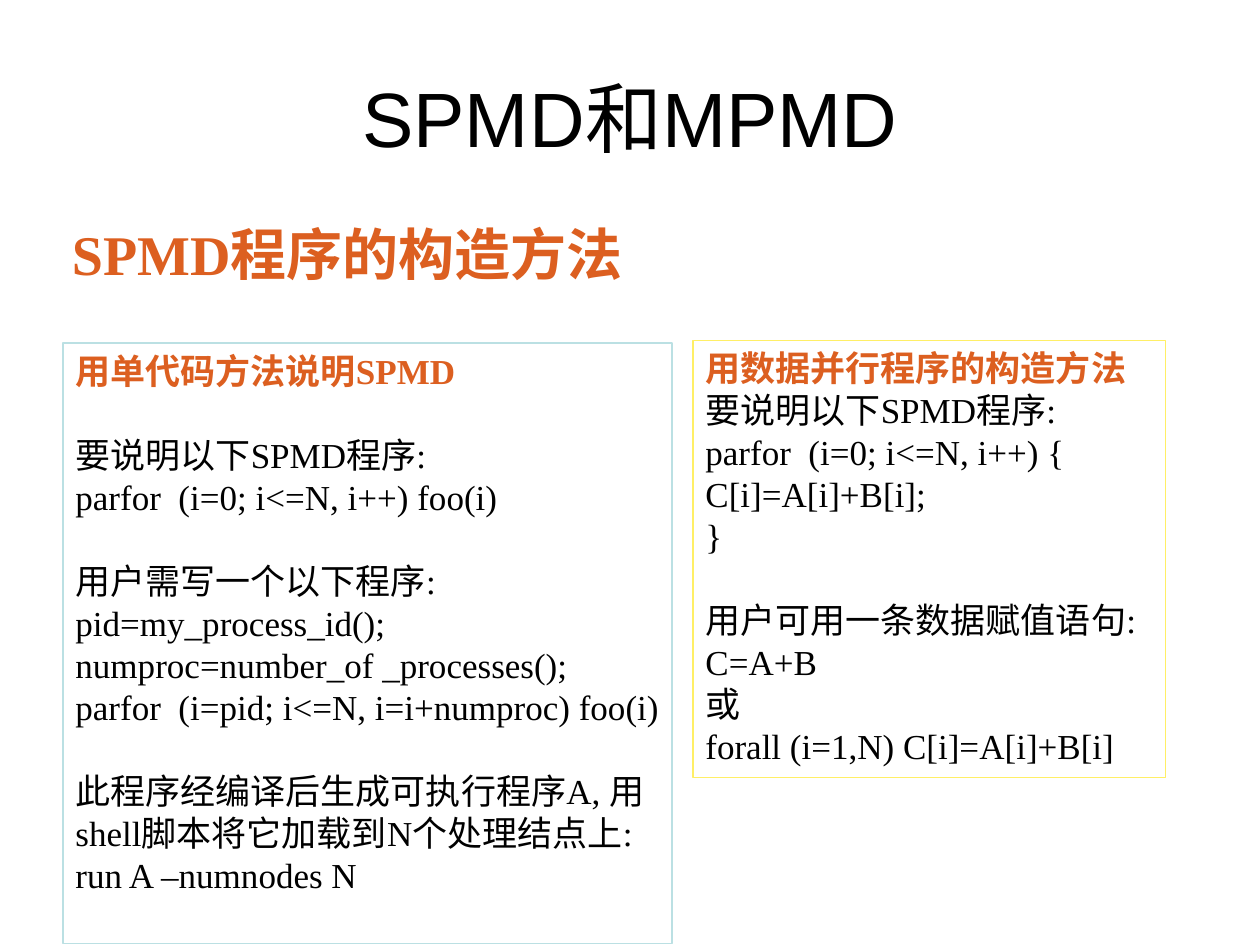
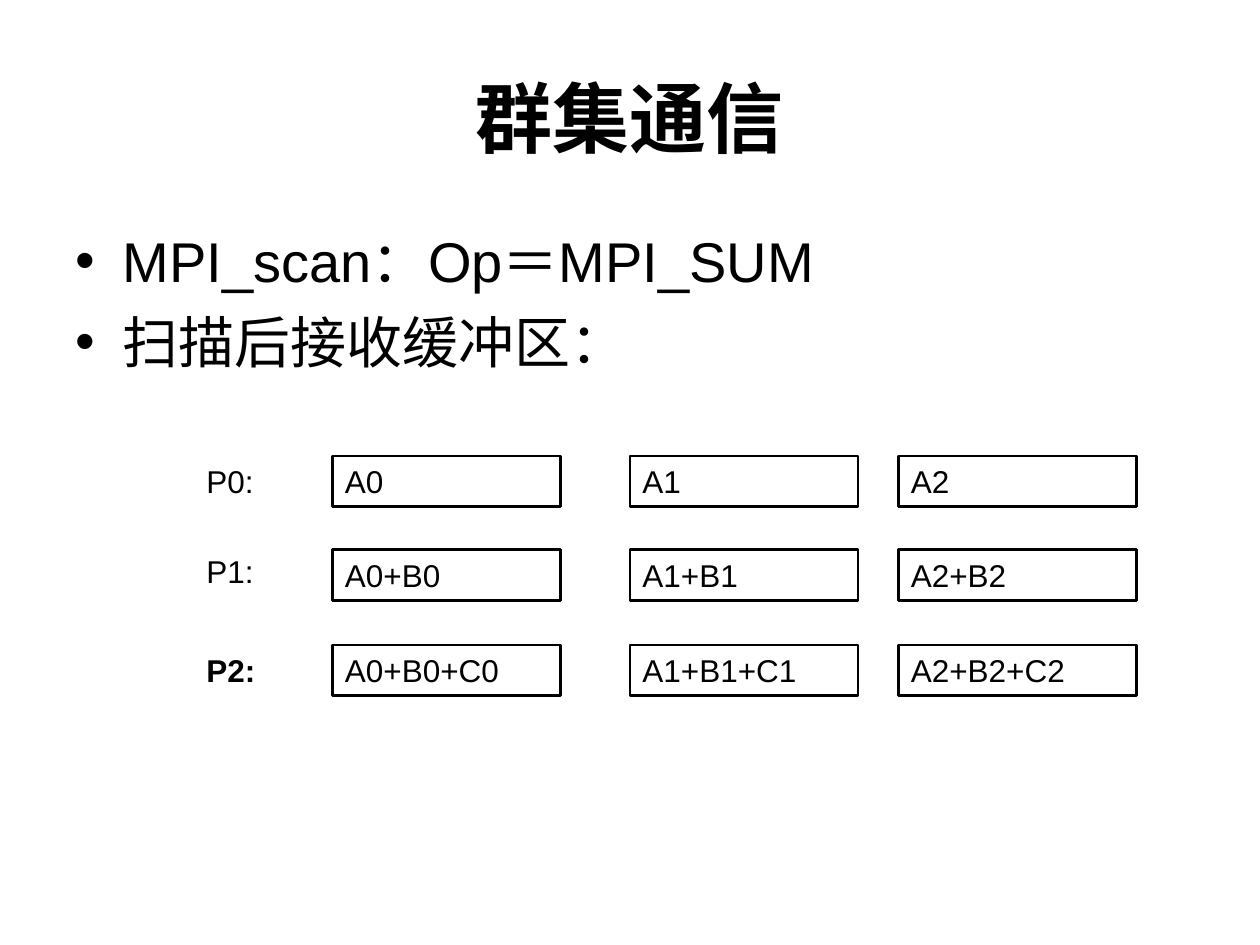
from lxml.etree import SubElement
from pptx import Presentation
from pptx.dml.color import RGBColor
from pptx.enum.shapes import MSO_SHAPE
from pptx.enum.text import MSO_ANCHOR, MSO_AUTO_SIZE, PP_ALIGN
from pptx.oxml.ns import qn
from pptx.util import Pt

SANS, SERIF = "Arial", "Times New Roman"
BLACK, ORANGE = "000000", "DC5F20"
TEAL, YELLOW = "BBE0E3", "FFEF66"
GAP = 24  # one line of panel text

# Each panel is a heading and groups of lines, with the space above each group.
SINGLE = ("用单代码方法说明SPMD", [
    (GAP, ["要说明以下SPMD程序:",
           "parfor  (i=0; i<=N, i++) foo(i)"]),
    (GAP, ["用户需写一个以下程序:",
           "pid=my_process_id();",
           "numproc=number_of _processes();",
           "parfor  (i=pid; i<=N, i=i+numproc) foo(i)"]),
    (GAP, ["此程序经编译后生成可执行程序A, 用shell脚本将它加载到N个处理结点上:",
           "run A –numnodes N"]),
])
PARALLEL = ("用数据并行程序的构造方法", [
    (0, ["要说明以下SPMD程序:",
         "parfor  (i=0; i<=N, i++) {",
         "C[i]=A[i]+B[i];",
         "}"]),
    (GAP, ["用户可用一条数据赋值语句:",
           "C=A+B",
           "或",
           "forall (i=1,N) C[i]=A[i]+B[i]"]),
])

COLUMNS = [(190, 130.3), (360, 130.3), (513.4, 136)]  # left, width
ROWS = [(260.6, 260.6), (314, 311.8), (368.6, 368.6)]  # cell top, label top
ROW_HEIGHT = 29


def color(code):
    return RGBColor.from_string(code)


def style(para, size, face, code=BLACK, bold=False):
    font = para.font
    font.size, font.name, font.bold = Pt(size), face, bold
    font.color.rgb = color(code)


def write(frame, text, size, face, code=BLACK, bold=False, before=0):
    """Add a paragraph, filling the first one while it is empty."""
    para = frame.paragraphs[0] if not frame.text else frame.add_paragraph()
    para.text = text
    para.alignment = PP_ALIGN.LEFT
    if before:
        para.space_before = Pt(before)
    style(para, size, face, code, bold)
    return para


def bullet(frame, text, before=0):
    para = frame.paragraphs[0] if not frame.text else frame.add_paragraph()
    para.text = text
    if before:
        para.space_before = Pt(before)
    props = para._p.get_or_add_pPr()
    props.set("marL", str(Pt(27)))
    props.set("indent", str(-Pt(27)))
    SubElement(props, qn("a:buFont"), typeface=SANS)
    SubElement(props, qn("a:buChar"), char="•")
    style(para, 32, SANS)


def add_slide(deck, title, bold=False):
    slide = deck.slides.add_slide(deck.slide_layouts[5])
    shape = slide.shapes.title
    shape.left, shape.top = Pt(36), Pt(21.6)
    shape.width, shape.height = Pt(648), Pt(90)
    frame = shape.text_frame
    frame.auto_size = MSO_AUTO_SIZE.NONE
    frame.vertical_anchor = MSO_ANCHOR.MIDDLE
    para = write(frame, title, 44, SANS, bold=bold)
    para.alignment = PP_ALIGN.CENTER
    return slide


def add_text(slide, left, top, width, height, wrap=True):
    box = slide.shapes.add_textbox(Pt(left), Pt(top), Pt(width), Pt(height))
    box.text_frame.word_wrap = wrap
    return box.text_frame


def add_frame(slide, left, top, width, height, code, weight):
    """Add an outlined rectangle without fill and return its text frame."""
    box = slide.shapes.add_shape(MSO_SHAPE.RECTANGLE, Pt(left), Pt(top),
                                 Pt(width), Pt(height))
    box.shadow.inherit = False
    box.fill.background()
    box.line.color.rgb = color(code)
    box.line.width = Pt(weight)
    frame = box.text_frame
    frame.word_wrap = True
    frame.vertical_anchor = MSO_ANCHOR.TOP
    return frame


def add_panel(slide, left, top, width, height, code, content):
    frame = add_frame(slide, left, top, width, height, code, 0.75)
    heading, groups = content
    write(frame, heading, 20, SERIF, ORANGE, True)
    for gap, lines in groups:
        for index, line in enumerate(lines):
            write(frame, line, 20, SERIF, before=0 if index else gap)


def add_grid(slide):
    """Row n holds the running sums of the first n + 1 buffers."""
    for row, (top, _) in enumerate(ROWS):
        for col, (left, width) in enumerate(COLUMNS):
            total = "+".join(f"{name}{col}" for name in "ABC"[:row + 1])
            cell = add_frame(slide, left, top, width, ROW_HEIGHT, BLACK, 1.5)
            write(cell, total, 18, SANS)
    for row, (_, top) in enumerate(ROWS):
        label = add_text(slide, 110.9, top, 79.2, ROW_HEIGHT)
        write(label, f"P{row}:", 18, SANS, bold=row == 2)


def build_spmd(deck):
    slide = add_slide(deck, "SPMD和MPMD")
    add_panel(slide, 36, 196, 348, 343.4, TEAL, SINGLE)
    heading = add_text(slide, 34, 121.7, 337, 46, wrap=False)
    write(heading, "SPMD程序的构造方法", 32, SERIF, ORANGE, True)
    add_panel(slide, 396, 194.5, 270, 250, YELLOW, PARALLEL)


def build_scan(deck):
    slide = add_slide(deck, "群集通信", bold=True)
    body = add_text(slide, 36, 126, 648, 356.4)
    bullet(body, "MPI_scan：Op＝MPI_SUM")
    bullet(body, "扫描后接收缓冲区：", before=8)
    add_grid(slide)


def main():
    deck = Presentation()
    deck.slide_width, deck.slide_height = Pt(720), Pt(540)
    build_spmd(deck)
    build_scan(deck)
    deck.save("out.pptx")


if __name__ == "__main__":
    main()
